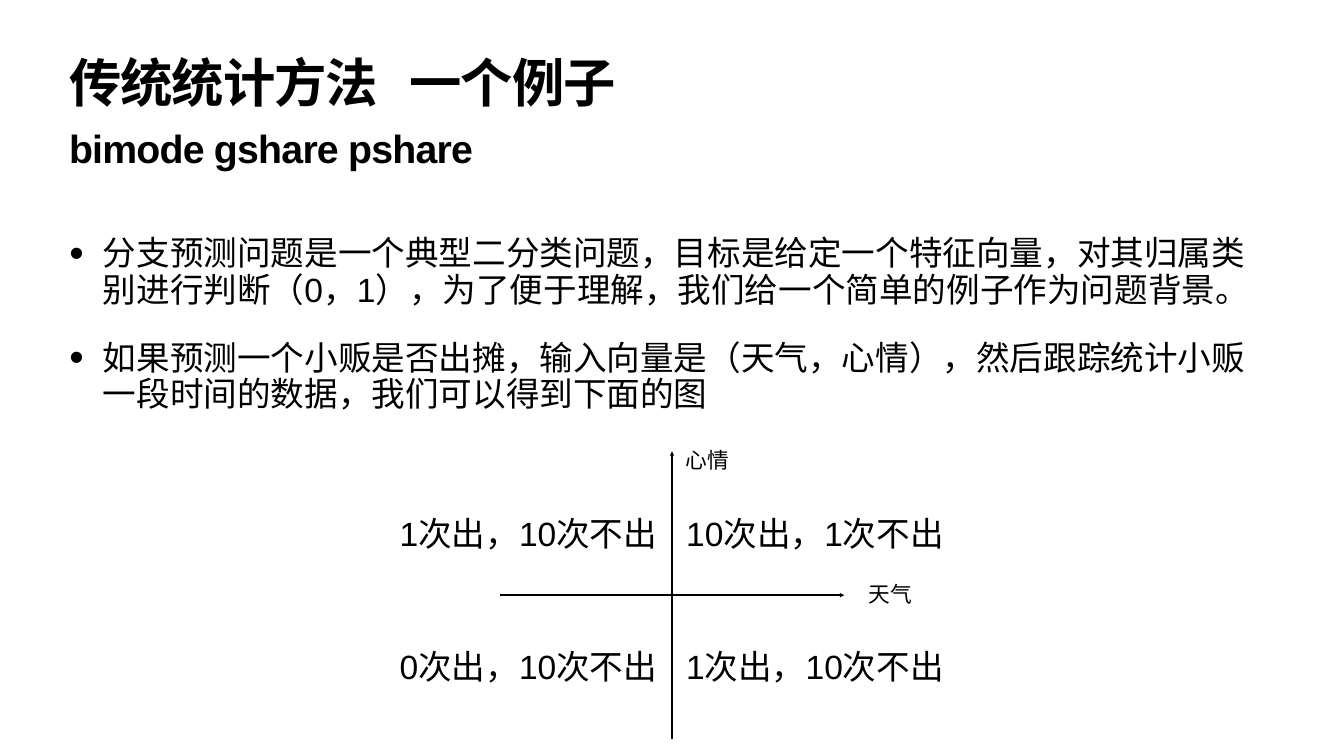
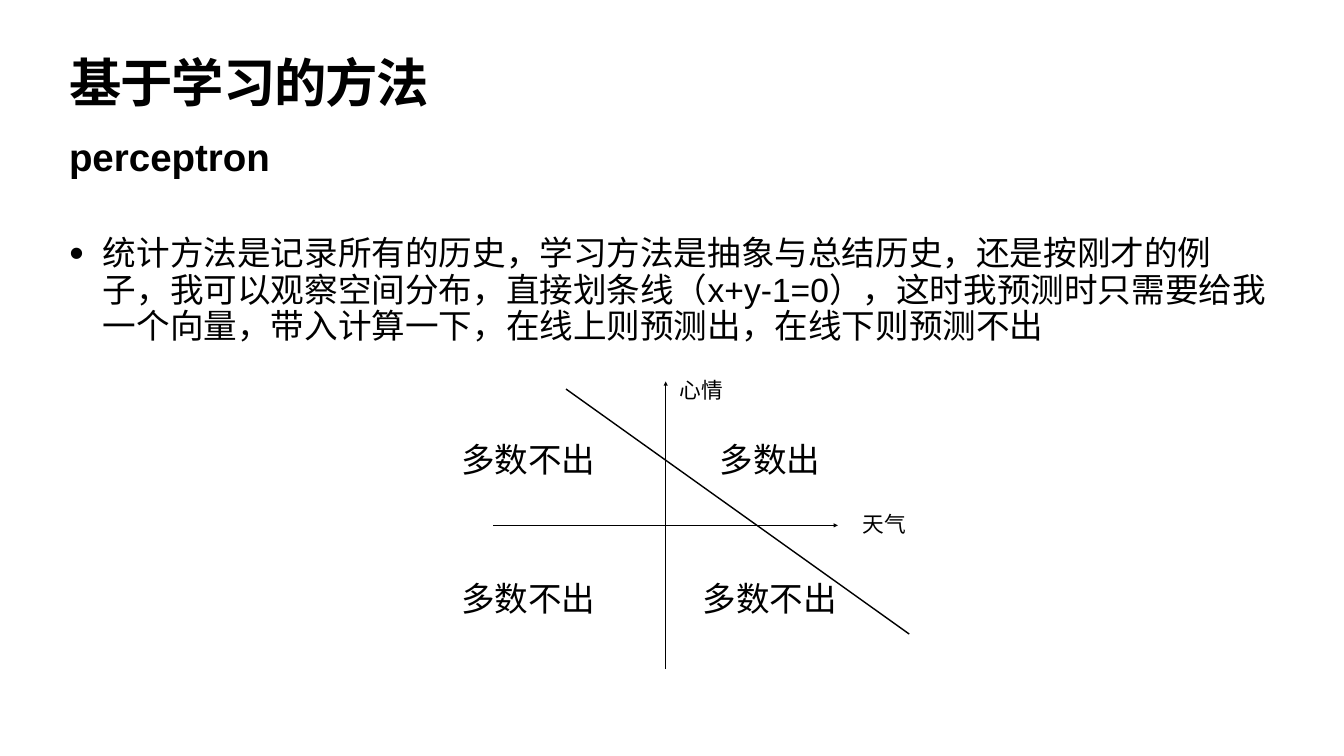
from dataclasses import dataclass
from typing import NamedTuple

from lxml import etree
from pptx import Presentation
from pptx.dml.color import RGBColor
from pptx.enum import shapes, text
from pptx.oxml.ns import qn
from pptx.util import Pt

# Shared style
BLACK = RGBColor(0x00, 0x00, 0x00)
WHITE = RGBColor(0xFF, 0xFF, 0xFF)
FONT = "Arial"
BODY_SIZE = 48
LABEL_SIZE = 31
INDENT = 48
MARGIN = 95
TEXT_WIDTH = 1730
HALF_AXIS_X, HALF_AXIS_Y = 246, 205.5


class Frame(NamedTuple):
    left: float
    top: float
    width: float
    height: float


class Point(NamedTuple):
    x: float
    y: float


@dataclass
class Style:
    size: float
    bold: bool = False
    tracking: float = 0
    line_spacing: float = 0.9
    space_before: float = 0
    bullet: bool = False
    inset: float = 4
    middle: bool = False
    wrap: bool = True


@dataclass
class Quadrants:
    """Centres relative to the origin; texts run top row first, left to right."""
    columns: tuple[float, float]
    rows: tuple[float, float]
    texts: tuple[str, str, str, str]
    wrap: bool


@dataclass
class Topic:
    title: str
    subtitle: str
    subtitle_style: Style
    points: list[str]
    origin: Point
    quadrants: Quadrants
    boundary: tuple[Point, Point] | None = None


TITLE_FRAME = Frame(MARGIN, 85, TEXT_WIDTH, 113)
SUBTITLE_FRAME = Frame(MARGIN, 187, TEXT_WIDTH, 73.4)
BODY_FRAME = Frame(MARGIN, 334.5, TEXT_WIDTH, 650)
TITLE = Style(74.8, bold=True, tracking=-1.5, line_spacing=0.8)
BODY = Style(BODY_SIZE, space_before=45, bullet=True)

TOPICS = [
    Topic(
        "传统统计方法   一个例子",
        "bimode gshare pshare",
        Style(56.1, bold=True, tracking=-1.1, line_spacing=0.8, inset=3.6),
        ["分支预测问题是一个典型二分类问题，目标是给定一个特征向量，对其归属类别进行判断"
         "（0，1），为了便于理解，我们给一个简单的例子作为问题背景。",
         "如果预测一个小贩是否出摊，输入向量是（天气，心情），然后跟踪统计小贩一段时间的"
         "数据，我们可以得到下面的图"],
        Point(960, 850.3),
        Quadrants((-204.7, 204.7), (-85, 104.4),
                  ("1次出，10次不出", "10次出，1次不出",
                   "0次出，10次不出", "1次出，10次不出"), wrap=True),
    ),
    Topic(
        "基于学习的方法",
        "perceptron",
        Style(55, bold=True, line_spacing=1, inset=3.6),
        ["统计方法是记录所有的历史，学习方法是抽象与总结历史，还是按刚才的例子，我可以观察"
         "空间分布，直接划条线（x+y-1=0），这时我预测时只需要给我一个向量，带入计算一下，"
         "在线上则预测出，在线下则预测不出"],
        Point(951, 750.5),
        Quadrants((-195.7, 149.3), (-91.2, 108),
                  ("多数不出", "多数出", "多数不出", "多数不出"), wrap=False),
        boundary=(Point(808.6, 555.8), Point(1298.9, 905.8)),
    ),
]


def add_bullet(para) -> None:
    props = para._p.get_or_add_pPr()
    props.set("marL", str(Pt(INDENT)))
    props.set("indent", str(-Pt(INDENT)))
    etree.SubElement(props, qn("a:buSzPct")).set("val", "123000")
    etree.SubElement(props, qn("a:buFont")).set("typeface", FONT)
    etree.SubElement(props, qn("a:buChar")).set("char", "•")


def write(box, frame: Frame, lines: list[str], style: Style) -> None:
    """Place a text shape and fill it with one paragraph per line."""
    box.left, box.top, box.width, box.height = (Pt(length) for length in frame)
    body = box.text_frame
    body.word_wrap = style.wrap
    body.auto_size = text.MSO_AUTO_SIZE.NONE
    body.vertical_anchor = (text.MSO_ANCHOR.MIDDLE if style.middle
                            else text.MSO_ANCHOR.TOP)
    body.margin_left = body.margin_right = Pt(style.inset)
    body.margin_top = body.margin_bottom = Pt(style.inset)
    for index, line in enumerate(lines):
        para = body.add_paragraph() if index else body.paragraphs[0]
        para.alignment = text.PP_ALIGN.LEFT
        para.line_spacing = style.line_spacing
        para.space_before = Pt(style.space_before)
        # Keep punctuation inside the right margin
        para._p.get_or_add_pPr().set("hangingPunct", "0")
        if style.bullet:
            add_bullet(para)
        span = para.add_run()
        span.text = line
        span.font.name = FONT
        span.font.size = Pt(style.size)
        span.font.bold = style.bold
        span.font.color.rgb = BLACK
        if style.tracking:
            span.font._element.set("spc", str(round(style.tracking * 100)))


def add_text(page, frame: Frame, lines: list[str], style: Style) -> None:
    box = page.shapes.add_textbox(0, 0, 0, 0)
    write(box, frame, lines, style)


def add_line(page, start: Point, end: Point, arrow: bool = False) -> None:
    line = page.shapes.add_connector(
        shapes.MSO_CONNECTOR.STRAIGHT,
        Pt(start.x), Pt(start.y), Pt(end.x), Pt(end.y))
    line.line.color.rgb = BLACK
    line.line.width = Pt(2)
    if arrow:
        outline = line.line._get_or_add_ln()
        etree.SubElement(outline, qn("a:tailEnd")).set("type", "triangle")
    etree.SubElement(line._element.spPr, qn("a:effectLst"))


def add_axes(page, origin: Point) -> None:
    x, y = origin
    add_line(page, Point(x - HALF_AXIS_X, y), Point(x + HALF_AXIS_X, y), arrow=True)
    add_line(page, Point(x, y + HALF_AXIS_Y), Point(x, y - HALF_AXIS_Y), arrow=True)
    label = Style(LABEL_SIZE, space_before=45, middle=True, wrap=False)
    add_text(page, Frame(x + 277.3, y - 26, 134, 52), ["天气"], label)
    add_text(page, Frame(x + 16, y - 216.7, 71.3, 52), ["心情"], label)


def label_width(label: str) -> float:
    """Digits take 0.556 em, Chinese characters a full em."""
    ems = sum(0.556 if char.isdigit() else 1 for char in label)
    return round(ems * BODY_SIZE + 9, 2)


def add_quadrants(page, origin: Point, quadrants: Quadrants) -> None:
    style = Style(BODY_SIZE, space_before=45, middle=True, wrap=quadrants.wrap)
    height = 75
    for index, label in enumerate(quadrants.texts):
        row, column = divmod(index, 2)
        width = label_width(label)
        left = origin.x + quadrants.columns[column] - width / 2
        top = origin.y + quadrants.rows[row] - height / 2
        add_text(page, Frame(left, top, width, height), [label], style)


def add_topic(deck, topic: Topic) -> None:
    page = deck.slides.add_slide(deck.slide_layouts[5])
    page.background.fill.solid()
    page.background.fill.fore_color.rgb = WHITE
    # Headings and bullets
    write(page.shapes.title, TITLE_FRAME, [topic.title], TITLE)
    add_text(page, SUBTITLE_FRAME, [topic.subtitle], topic.subtitle_style)
    add_text(page, BODY_FRAME, topic.points, BODY)
    # Diagram
    add_axes(page, topic.origin)
    add_quadrants(page, topic.origin, topic.quadrants)
    if topic.boundary:
        add_line(page, *topic.boundary)


def main() -> None:
    deck = Presentation()
    deck.slide_width, deck.slide_height = Pt(1920), Pt(1080)
    for topic in TOPICS:
        add_topic(deck, topic)
    deck.save("out.pptx")


if __name__ == "__main__":
    main()
